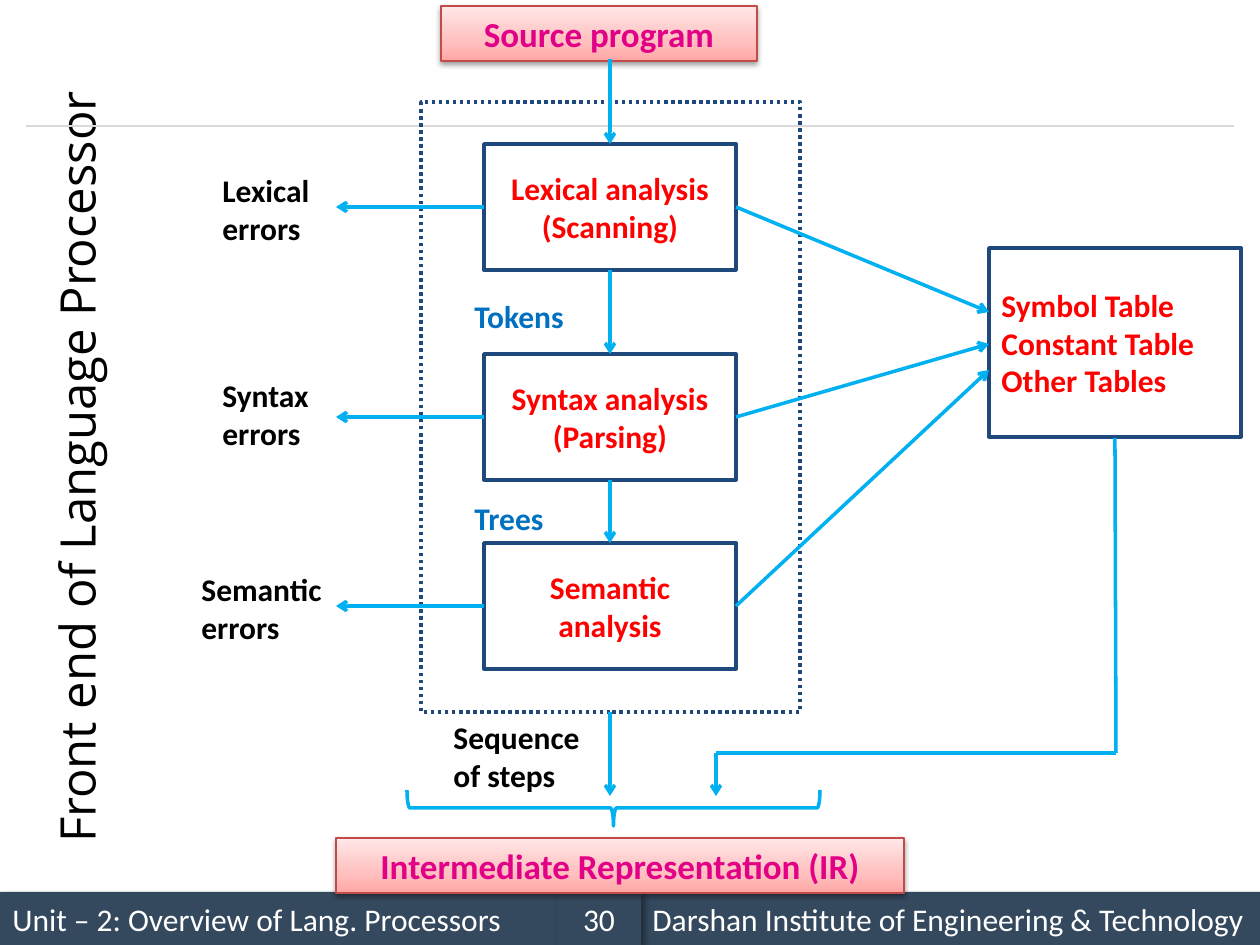
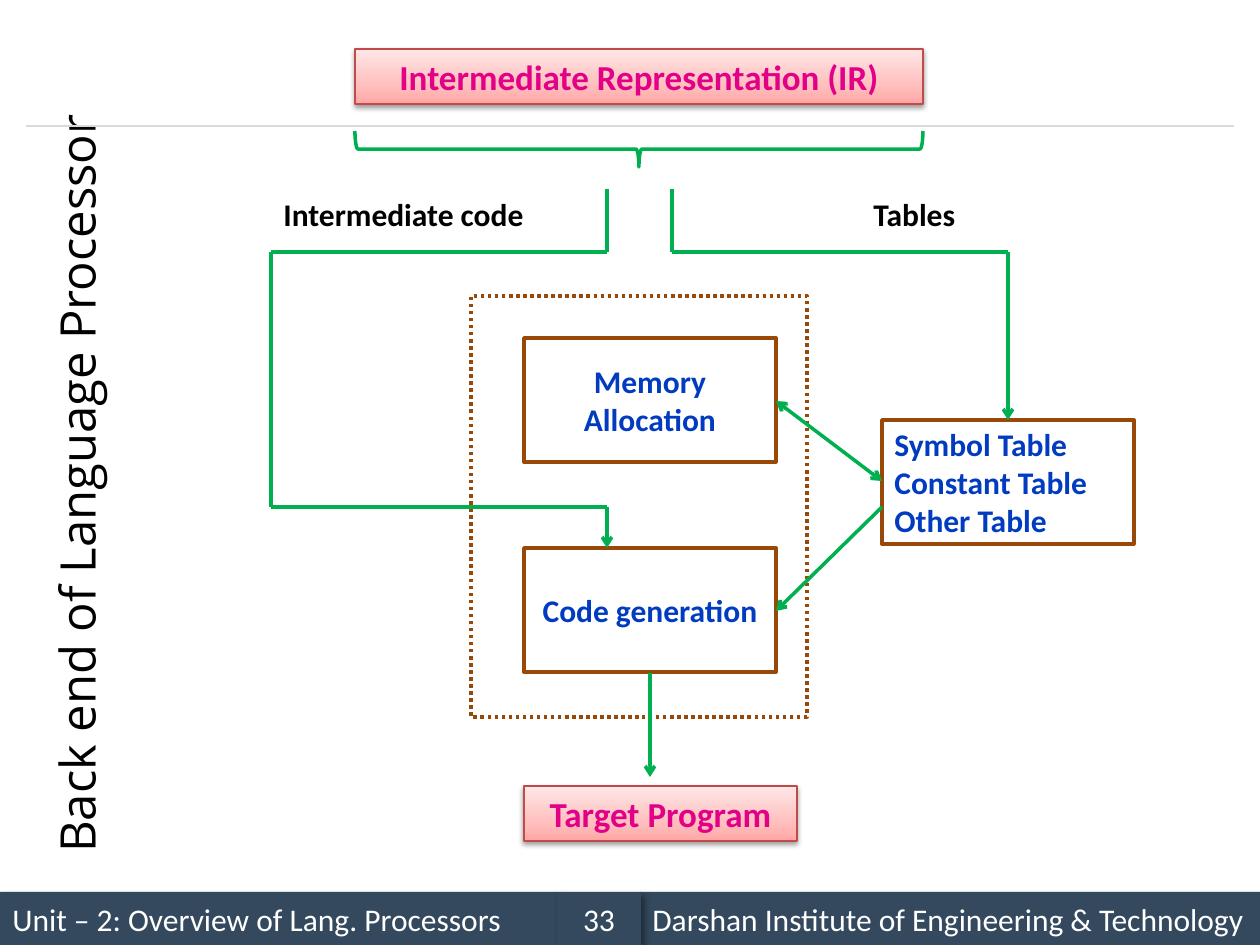
from copy import deepcopy
from dataclasses import dataclass

from lxml import etree
from pptx import Presentation
from pptx.dml.color import RGBColor
from pptx.enum.dml import MSO_LINE
from pptx.enum.shapes import MSO_CONNECTOR, MSO_SHAPE
from pptx.enum.text import MSO_ANCHOR, MSO_AUTO_SIZE, PP_ALIGN
from pptx.oxml.ns import qn
from pptx.util import Emu, Inches, Pt

RECT, BRACE = MSO_SHAPE.RECTANGLE, MSO_SHAPE.LEFT_BRACE
STRAIGHT, DOTS = MSO_CONNECTOR.STRAIGHT, MSO_LINE.ROUND_DOT
LEFT, MID = PP_ALIGN.LEFT, PP_ALIGN.CENTER
TOP, CENTRE = MSO_ANCHOR.TOP, MSO_ANCHOR.MIDDLE
GROW, FIXED = MSO_AUTO_SIZE.SHAPE_TO_FIT_TEXT, MSO_AUTO_SIZE.NONE
SCALE = Inches(1) / 126


@dataclass(frozen=True)
class Theme:
    """Colours, fonts and type sizes of the deck."""
    head: str = "Open Sans"
    body: str = "Calibri"
    big: int = 28
    mid: int = 20
    small: int = 18
    stroke: float = 2
    hair: float = 0.75
    black: str = "000000"
    white: str = "FFFFFF"
    band: str = "34495E"
    rule: str = "D9D9D9"
    pink: str = "E20087"
    edge: str = "BF4C48"
    flow: str = "0070C0"
    blush: tuple = ((0, "FFA6A5"), (0.35, "FFC0BF"), (1, "FFE7E7"))


@dataclass(frozen=True)
class Scheme:
    """Colours of one diagram."""
    arrow: str
    frame: str
    ink: str


T = Theme()
FRONT = Scheme("00B0F0", "1F497D", "FF0000")
BACK = Scheme("00B050", "984807", "003BC0")


def rgb(code):
    """Turn a hex code into a colour."""
    return RGBColor.from_string(code)


def px(*nums):
    """Turn px lengths into EMU."""
    return [Emu(round(n * SCALE)) for n in nums]


def write(shape, lines, color, size=T.small, bold=True, align=LEFT,
          anchor=CENTRE, fit=FIXED, font=T.body):
    """Fill a shape with one paragraph per line."""
    frame = shape.text_frame
    frame.word_wrap, frame.auto_size = True, fit
    frame.vertical_anchor = anchor
    for i, line in enumerate(lines):
        para = frame.add_paragraph() if i else frame.paragraphs[0]
        para.alignment = align
        run = para.add_run()
        run.text = line
        run.font.name, run.font.size = font, Pt(size)
        run.font.bold, run.font.color.rgb = bold, rgb(color)


def stroke(line, color, width=T.stroke):
    """Set the colour and width of a line."""
    line.color.rgb, line.width = rgb(color), Pt(width)


def shade(shape, alpha, blur, dist, angle):
    """Give a shape an outer shadow."""
    shape.shadow.inherit = False
    effect = shape.element.spPr.find(qn("a:effectLst"))
    outer = etree.SubElement(
        effect, qn("a:outerShdw"), blurRad=str(Pt(blur)), dist=str(Pt(dist)),
        dir=str(angle * 60000), algn="t", rotWithShape="0")
    tint = etree.SubElement(outer, qn("a:srgbClr"), val=T.black)
    etree.SubElement(tint, qn("a:alpha"), val=str(alpha * 1000))


def shape(slide, kind, x, y, w, h, color=None):
    """Add an unfilled shape, outlined when a colour is given."""
    item = slide.shapes.add_shape(kind, *px(x, y, w, h))
    item.shadow.inherit = False
    item.fill.background()
    if color:
        stroke(item.line, color)
    else:
        item.line.fill.background()
    return item


def box(slide, scheme, x, y, w, h, lines, align=MID):
    """Add an outlined box with text."""
    item = shape(slide, RECT, x, y, w, h, scheme.frame)
    write(item, lines, scheme.ink, align=align)


def group(slide, scheme, x, y, w, h):
    """Add a dotted frame around the phases."""
    shape(slide, RECT, x, y, w, h, scheme.frame).line.dash_style = DOTS


def brace(slide, scheme, x, y, w, h):
    """Add a brace that points down and fills the given area."""
    left, top = x + (w - h) / 2, y + (h - w) / 2
    shape(slide, BRACE, left, top, h, w, scheme.arrow).rotation = 270


def banner(slide, x, y, w, text):
    """Add a pink gradient banner."""
    item = shape(slide, RECT, x, y, w, 55)
    item.fill.gradient()
    item.fill.gradient_angle = 90
    stops = item.element.spPr.find(".//" + qn("a:gsLst"))
    stops.append(deepcopy(stops[-1]))
    for stop, (pos, color) in zip(item.fill.gradient_stops, T.blush):
        stop.position, stop.color.rgb = pos, rgb(color)
    stroke(item.line, T.edge, T.hair)
    shade(item, 38, 3.1, 1.6, 90)
    write(item, [text], T.pink, T.mid, align=MID, anchor=TOP, fit=GROW)


def label(slide, x, y, w, h, text, color=T.black):
    """Add a bold label."""
    item = slide.shapes.add_textbox(*px(x, y, w, h))
    write(item, [text], color, anchor=TOP, fit=GROW)


def link(slide, start, end, color, width=T.stroke, ends=()):
    """Add a straight line with open arrowheads at the named ends."""
    item = slide.shapes.add_connector(STRAIGHT, *px(*start, *end))
    stroke(item.line, color, width)
    props = item.element.spPr
    for name in ends:
        etree.SubElement(props.find(qn("a:ln")), qn(f"a:{name}End"), type="arrow")
    etree.SubElement(props, qn("a:effectLst"))


def route(slide, scheme, *points, tip=("tail",)):
    """Join points with lines and put the arrowheads on the last one."""
    for i, (start, end) in enumerate(zip(points, points[1:]), 2):
        link(slide, start, end, scheme.arrow,
             ends=tip if i == len(points) else ())


def base(deck, title, top, page):
    """Add a slide with its rule, footer bands and upright title."""
    slide = deck.slides.add_slide(deck.slide_layouts[5])
    link(slide, (26, 126), (1234, 126), T.rule, T.hair)
    for x, w, text, align in (
            (0, 557, "Unit – 2: Overview of Lang. Processors", LEFT),
            (640, 620, "Darshan Institute of Engineering & Technology", LEFT),
            (557, 84, page, MID)):
        band = shape(slide, RECT, x, 892, w, 53)
        band.fill.solid()
        band.fill.fore_color.rgb = rgb(T.band)
        shade(band, 40, 4, 3, 45)
        write(band, [text], T.white, bold=False, align=align)
    head = slide.shapes.title
    head.left, head.top, head.width, head.height = px(-357, top, 866, 111)
    head.rotation = 270
    write(head, [title], T.black, T.big, False, font=T.head)
    return slide


def front(deck):
    """Draw the front end slide."""
    slide = base(deck, "Front end of Language Processor", 367, "30")
    group(slide, FRONT, 421, 102, 379, 610)
    box(slide, FRONT, 989, 248, 252, 189,
        ["Symbol Table", "Constant Table", "Other Tables"], LEFT)
    banner(slide, 441, 6, 316, "Source program")
    for y, phase, goal, error, at in (
            (144, "Lexical analysis (Scanning)", 312, "Lexical errors", (210, 165, 126)),
            (354, "Syntax analysis (Parsing)", 344, "Syntax errors", (210, 370, 126)),
            (543, "Semantic analysis", 370, "Semantic errors", (189, 564, 169))):
        box(slide, FRONT, 484, y, 252, 126, [phase])
        label(slide, *at, 89, error)
        route(slide, FRONT, (484, y + 63), (336, y + 63))
        route(slide, FRONT, (736, y + 63), (989, goal))
    for start, end in ((59, 144), (270, 354), (480, 543), (712, 796)):
        route(slide, FRONT, (610, start), (610, end))
    label(slide, 462, 291, 126, 50, "Tokens", T.flow)
    label(slide, 462, 493, 126, 50, "Trees", T.flow)
    label(slide, 441, 712, 169, 89, "Sequence of steps")
    route(slide, FRONT, (1115, 438), (1116, 753), (716, 753), (716, 796))
    brace(slide, FRONT, 407, 790, 413, 36)
    banner(slide, 336, 838, 568, "Intermediate Representation (IR)")


def back(deck):
    """Draw the back end slide."""
    slide = base(deck, "Back end of Language Processor", 377, "33")
    brace(slide, BACK, 355, 131, 568, 36)
    banner(slide, 355, 49, 568, "Intermediate Representation (IR)")
    group(slide, BACK, 471, 296, 336, 421)
    box(slide, BACK, 524, 338, 252, 124, ["Memory Allocation"])
    box(slide, BACK, 524, 548, 252, 124, ["Code generation"])
    box(slide, BACK, 882, 420, 252, 124,
        ["Symbol Table", "Constant Table", "Other Table"], LEFT)
    route(slide, BACK, (672, 189), (672, 252), (1008, 252), (1008, 420))
    route(slide, BACK, (607, 189), (607, 252), (271, 252), (271, 507),
          (607, 507), (607, 548))
    route(slide, BACK, (776, 401), (882, 481), tip=("head", "tail"))
    route(slide, BACK, (882, 507), (776, 611))
    route(slide, BACK, (650, 673), (650, 777))
    label(slide, 271, 189, 295, 50, "Intermediate code")
    label(slide, 861, 189, 147, 50, "Tables")
    banner(slide, 524, 786, 273, "Target Program")


def main():
    """Build and save the deck."""
    deck = Presentation()
    deck.slide_width, deck.slide_height = px(1260, 945)
    front(deck)
    back(deck)
    deck.save("out.pptx")


if __name__ == "__main__":
    main()
